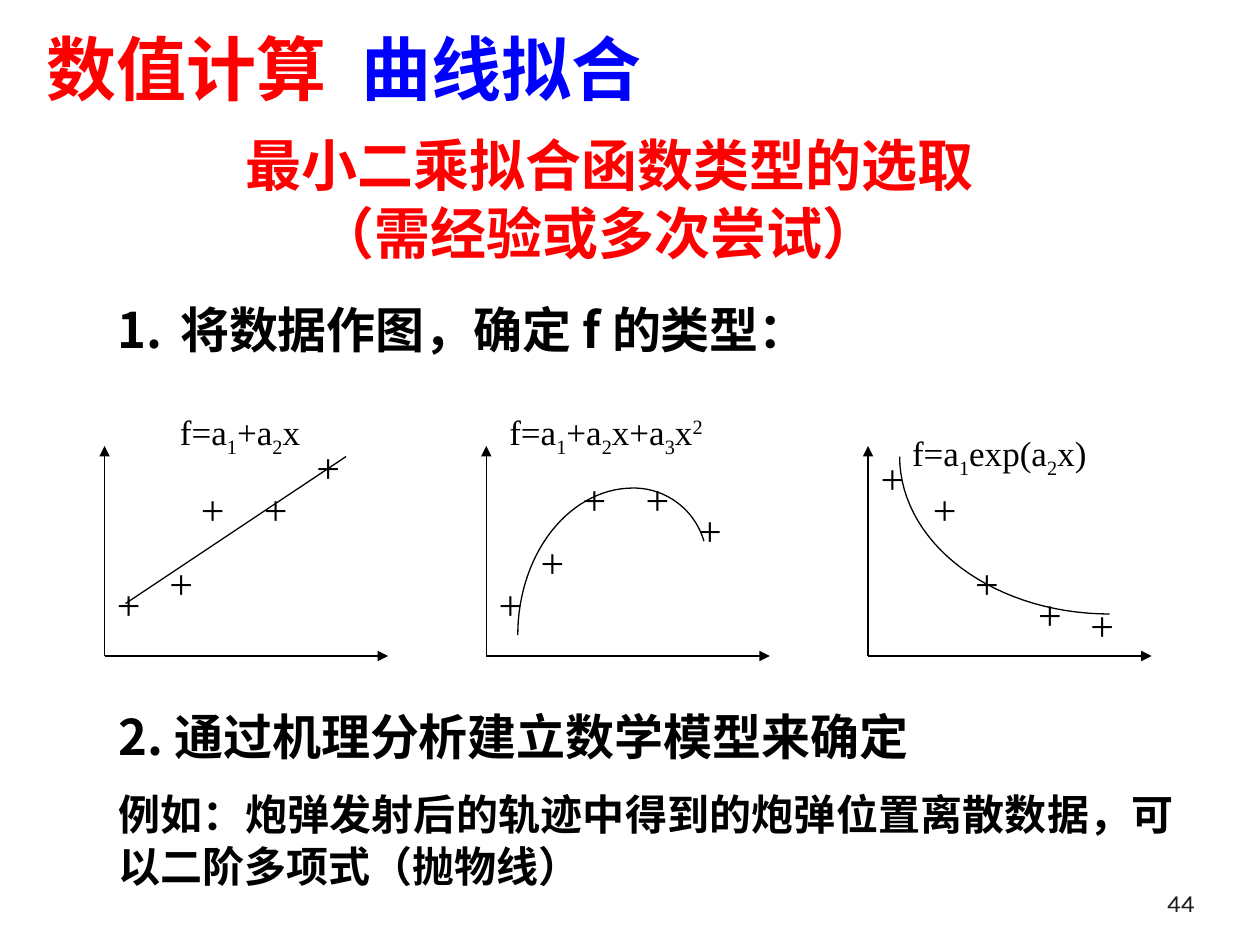
"""Builds the slide on choosing the function type for a least-squares fit."""
from dataclasses import dataclass
from math import cos, radians, sin
from typing import NamedTuple

from lxml.etree import SubElement
from pptx import Presentation
from pptx.dml.color import RGBColor
from pptx.enum.shapes import MSO_CONNECTOR
from pptx.enum.text import MSO_ANCHOR, MSO_AUTO_SIZE, PP_ALIGN
from pptx.oxml.ns import qn
from pptx.util import Inches, Pt

COLORS = {"red": "FF0000", "blue": "0000FF", "black": "000000", "number": "1C1C1C"}
CJK, SERIF = "Noto Sans CJK SC", "Times New Roman"
WIDTH, HEIGHT = Inches(10), Inches(7.5)
CELL = Inches(1) / 12
PLOT_LEFT, PLOT_PITCH, PLOT_TOP = 8.3, 30.3, 47.2
AXIS_COLUMNS, AXIS_ROWS = 27, 20
MARK_COLUMNS, MARK_ROWS = 5, 6
ARC_STEPS = 30
SUBSCRIPT, SUPERSCRIPT = -25, 30


class Point(NamedTuple):
    """A place in columns and rows from the top of a plot's vertical axis."""
    column: float
    row: float


class Share(NamedTuple):
    """A rectangle in percent of the slide's width and height."""
    left: float
    top: float
    width: float
    height: float


class Arc(NamedTuple):
    """A piece of an ellipse, with angles in degrees clockwise from the right."""
    center: Point
    radius_x: float
    radius_y: float
    start: float
    end: float

    def points(self) -> list[Point]:
        angles = [radians(self.start + (self.end - self.start) * step / ARC_STEPS)
                  for step in range(ARC_STEPS + 1)]
        return [Point(self.center.column + self.radius_x * cos(angle),
                      self.center.row + self.radius_y * sin(angle)) for angle in angles]


@dataclass(frozen=True)
class Style:
    """The look of a run of text."""
    size: float
    font: str = CJK
    color: str = "black"
    bold: bool = True


@dataclass(frozen=True)
class Plot:
    """A sketch of data points with a fitted curve and its formula."""
    formula: list[tuple[str, int]]
    label: Point
    label_columns: int
    marks: list[Point]
    line: tuple[Point, Point] | None = None
    arcs: tuple[Arc, ...] = ()


PLOTS = [
    Plot([("f=a", 0), ("1", SUBSCRIPT), ("+a", 0), ("2", SUBSCRIPT), ("x", 0)],
         Point(6, -4), 17,
         [Point(0, 12), Point(5, 10), Point(14, 3), Point(19, -1), Point(8, 3)],
         line=(Point(2, 15), Point(23, 1))),
    Plot([("f=a", 0), ("1", SUBSCRIPT), ("+a", 0), ("2", SUBSCRIPT), ("x+a", 0),
          ("3", SUBSCRIPT), ("x", 0), ("2", SUPERSCRIPT)],
         Point(1, -4), 26,
         [Point(0, 12), Point(4, 8), Point(14, 2), Point(19, 5), Point(8, 2)],
         arcs=(Arc(Point(14, 18), 11, 14, 180, 270), Arc(Point(14, 11), 7, 7, 270, 344))),
    Plot([("f=a", 0), ("1", SUBSCRIPT), ("exp(a", 0), ("2", SUBSCRIPT), ("x)", 0)],
         Point(3, -2), 23,
         [Point(0, 0), Point(5, 3), Point(15, 13), Point(20, 14), Point(9, 10)],
         arcs=(Arc(Point(23, 1), 20, 15, 90, 180),)),
]


def place(shape, share: Share) -> None:
    """Moves a shape to its share of the slide."""
    shape.left, shape.width = (int(WIDTH * value / 100) for value in (share.left, share.width))
    shape.top, shape.height = (int(HEIGHT * value / 100) for value in (share.top, share.height))


def prepare(shape, anchor=MSO_ANCHOR.TOP):
    """Sets up a text frame and returns it."""
    frame = shape.text_frame
    frame.word_wrap, frame.auto_size, frame.vertical_anchor = True, MSO_AUTO_SIZE.NONE, anchor
    return frame


def add_run(paragraph, text: str, style: Style, baseline: int = 0):
    """Adds one formatted run."""
    run = paragraph.add_run()
    run.text = text
    run.font.name, run.font.size, run.font.bold = style.font, Pt(style.size), style.bold
    run.font.color.rgb = RGBColor.from_string(COLORS[style.color])
    properties = run.font._element
    SubElement(properties, qn("a:ea"), typeface=CJK)
    if baseline:
        properties.set("baseline", str(baseline * 1000))
    return run


def format_paragraph(paragraph, align=PP_ALIGN.LEFT, line: float = 1.0, before: float = 0,
                     numbered: bool = False):
    """Sets alignment, spacing and numbering of a paragraph."""
    paragraph.alignment = align
    paragraph.line_spacing = line
    paragraph.space_before = Pt(before)
    properties = paragraph._p.get_or_add_pPr()
    indent = Inches(0.5) if numbered else 0
    properties.set("marL", str(indent))
    properties.set("indent", str(-indent))
    if numbered:
        SubElement(properties, qn("a:buFont"), typeface=CJK)
        SubElement(properties, qn("a:buAutoNum"), type="arabicPeriod")
    else:
        SubElement(properties, qn("a:buNone"))
    return paragraph


def draw_line(slide, start: tuple[int, int], end: tuple[int, int], arrow: bool = False) -> None:
    """Draws a thin black line, with an arrowhead at its end if asked."""
    connector = slide.shapes.add_connector(MSO_CONNECTOR.STRAIGHT, *start, *end)
    connector.line.width = Pt(0.75)
    connector.line.color.rgb = RGBColor.from_string(COLORS["black"])
    if arrow:
        SubElement(connector.line._get_or_add_ln(), qn("a:tailEnd"), type="triangle")
    SubElement(connector._element.spPr, qn("a:effectLst"))


def draw_plot(slide, plot: Plot, index: int) -> None:
    """Draws axes, marks, curve and formula of one plot."""
    left, top = WIDTH * (PLOT_LEFT + PLOT_PITCH * index) / 100, HEIGHT * PLOT_TOP / 100

    def at(point: Point) -> tuple[int, int]:
        return round(left + point.column * CELL), round(top + point.row * CELL)

    def add_text(point: Point, columns: float, rows: float):
        box = slide.shapes.add_textbox(*at(point), round(columns * CELL), round(rows * CELL))
        return format_paragraph(prepare(box).paragraphs[0])

    for tip in (Point(0, 0), Point(AXIS_COLUMNS, AXIS_ROWS)):
        draw_line(slide, at(Point(0, AXIS_ROWS)), at(tip), arrow=True)
    for mark in plot.marks:
        add_run(add_text(mark, MARK_COLUMNS, MARK_ROWS), "+", Style(24, SERIF, bold=False))
    if plot.line:
        draw_line(slide, *map(at, plot.line))
    for arc in plot.arcs:
        first, *others = map(at, arc.points())
        builder = slide.shapes.build_freeform(*first)
        builder.add_line_segments(others, close=False)
        curve = builder.convert_to_shape()
        curve.shadow.inherit = False
        curve.fill.background()
        curve.line.width = Pt(0.75)
        curve.line.color.rgb = RGBColor.from_string(COLORS["black"])
    label = add_text(plot.label, plot.label_columns, 5.2)
    for text, baseline in plot.formula:
        add_run(label, text, Style(20, SERIF, bold=False), baseline)


def main() -> None:
    """Builds and saves the presentation."""
    presentation = Presentation()
    presentation.slide_width, presentation.slide_height = WIDTH, HEIGHT
    slide = presentation.slides.add_slide(presentation.slide_layouts[3])
    title, first_item, second_item = slide.placeholders

    place(title, Share(2.7, 2.8, 85.8, 9.47))
    paragraph = format_paragraph(prepare(title, MSO_ANCHOR.BOTTOM).paragraphs[0])
    add_run(paragraph, "数值计算", Style(40, "Arial", "red"))
    gap = add_run(paragraph, " ", Style(40, "Arial", "blue"))
    gap.font._element.set("spc", "1100")
    add_run(paragraph, "曲线拟合", Style(40, "Arial", "blue"))

    heading = slide.shapes.add_textbox(0, 0, 0, 0)
    place(heading, Share(-1.2, 13.2, 99.2, 15.73))
    frame = prepare(heading)
    for paragraph, text in ((frame.paragraphs[0], "最小二乘拟合函数类型的选取"),
                            (frame.add_paragraph(), "（需经验或多次尝试）")):
        add_run(format_paragraph(paragraph, PP_ALIGN.CENTER, Pt(38.4)), text, Style(32, color="red"))
    paragraph._p.pPr.set("marR", str(Inches(0.17)))

    place(first_item, Share(8.3, 31.07, 85.8, 7.6))
    paragraph = prepare(first_item).paragraphs[0]
    format_paragraph(paragraph, PP_ALIGN.JUSTIFY, Pt(33.6), numbered=True)
    add_run(paragraph, "将数据作图，确定 f 的类型：", Style(28))

    for index, plot in enumerate(PLOTS):
        draw_plot(slide, plot, index)

    place(second_item, Share(8.4, 74.13, 85.8, 21.07))
    frame = prepare(second_item)
    paragraph = format_paragraph(frame.paragraphs[0], PP_ALIGN.JUSTIFY, Pt(33.6))
    add_run(paragraph, "2. 通过机理分析建立数学模型来确定", Style(28))
    paragraph = format_paragraph(frame.add_paragraph(), PP_ALIGN.JUSTIFY, Pt(29.7), before=12)
    add_run(paragraph, "例如：炮弹发射后的轨迹中得到的炮弹位置离散数据，可以二阶多项式（抛物线）", Style(24))

    number = slide.shapes.add_textbox(0, 0, 0, 0)
    place(number, Share(75, 91.07, 20.8, 6.67))
    paragraph = format_paragraph(prepare(number, MSO_ANCHOR.BOTTOM).paragraphs[0], PP_ALIGN.RIGHT)
    add_run(paragraph, "44", Style(14, "Karla", "number", False))
    presentation.save("out.pptx")


if __name__ == "__main__":
    main()
